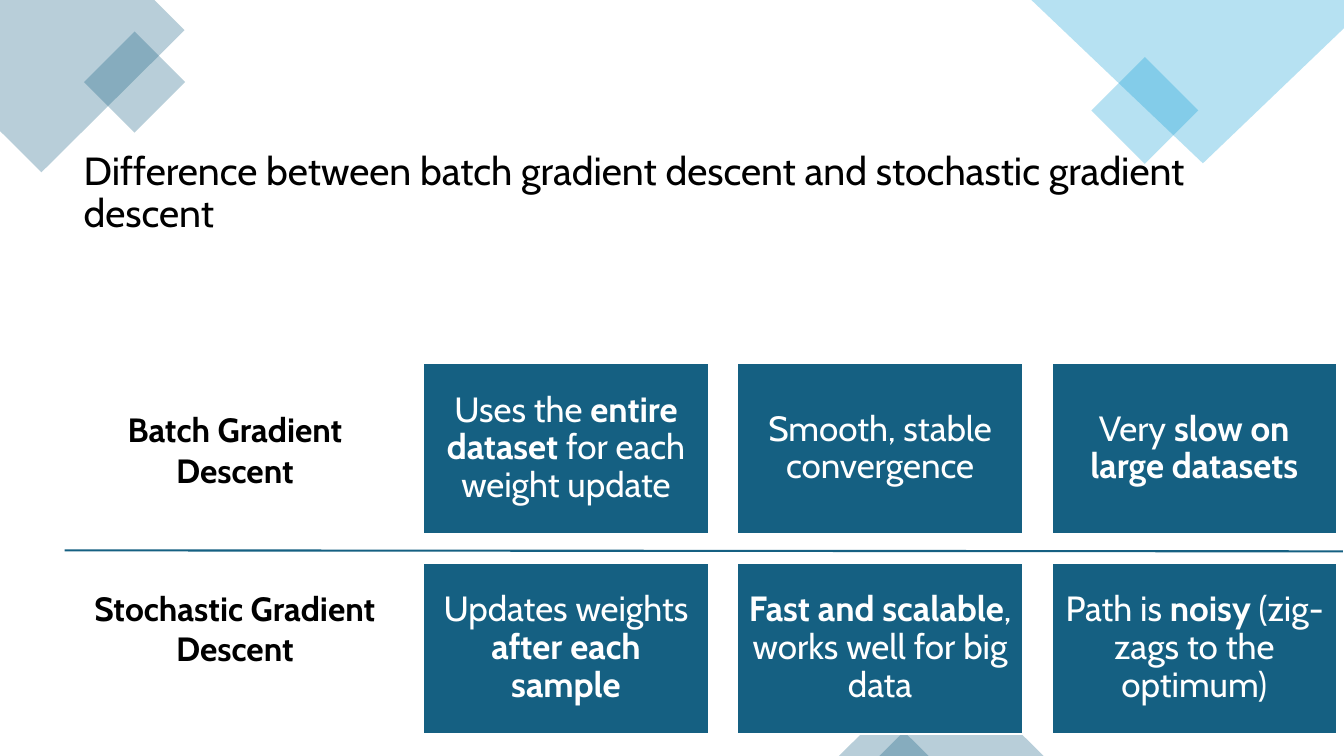
from pptx import Presentation
from pptx.dml.color import RGBColor
from pptx.enum.shapes import MSO_CONNECTOR, MSO_SHAPE
from pptx.enum.text import MSO_ANCHOR, MSO_AUTO_SIZE, PP_ALIGN
from pptx.oxml.ns import qn
from pptx.util import Inches, Pt
from lxml import etree

RECTANGLE, TRIANGLE = MSO_SHAPE.RECTANGLE, MSO_SHAPE.ISOSCELES_TRIANGLE
STRAIGHT = MSO_CONNECTOR.STRAIGHT
MIDDLE, TOP = MSO_ANCHOR.MIDDLE, MSO_ANCHOR.TOP
LEFT, CENTER = PP_ALIGN.LEFT, PP_ALIGN.CENTER
NO_AUTOFIT = MSO_AUTO_SIZE.NONE

TEAL, SKY, BLACK, WHITE = "156082", "0F9ED5", "000000", "FFFFFF"
TITLE = "Difference between batch gradient descent and stochastic gradient descent"
METHODS = [
    ("Batch Gradient Descent", 53.47, [
        [("Uses the ", False), ("entire dataset", True), (" for each weight update", False)],
        [("Smooth, stable convergence", False)],
        [("Very ", False), ("slow on large datasets", True)],
    ]),
    ("Stochastic Gradient Descent", 77.07, [
        [("Updates weights ", False), ("after each sample", True)],
        [("Fast and scalable", True), (", works well for big data", False)],
        [("Path is ", False), ("noisy", True), (" (zig-zags to the optimum)", False)],
    ]),
]
CARD_LEFT, CARD_STEP, CARD_WIDTH = 31.5, 23.37, 21.23
CARD_TOP, ROW_STEP, CARD_HEIGHT = 48, 26.4, 22.67


def color(hex_code):
    return RGBColor.from_string(hex_code)


class ComparisonSlide:
    """Draws styled elements on one slide, with lengths in percent of its size."""

    font = "Cabin"

    def __init__(self, deck):
        self.width, self.height = deck.slide_width, deck.slide_height
        self.slide = deck.slides.add_slide(deck.slide_layouts[5])
        self.shapes = self.slide.shapes

    def point(self, x, y):
        return round(self.width * x / 100), round(self.height * y / 100)

    def box(self, x, y, width, height):
        return *self.point(x, y), *self.point(width, height)

    def style_runs(self, paragraph, size, hex_code, bold=None):
        for run in paragraph.runs:
            run.font.name = self.font
            run.font.size = Pt(size)
            run.font.color.rgb = color(hex_code)
            if bold is not None:
                run.font.bold = bold

    def tint(self, shape, hex_code):
        shape.shadow.inherit = False
        shape.fill.solid()
        shape.fill.fore_color.rgb = color(hex_code)
        shape.line.fill.background()
        srgb = shape.fill._xPr.find(f".//{qn('a:srgbClr')}")
        etree.SubElement(srgb, qn("a:alpha")).set("val", "30000")

    def ornament(self, kind, area, hex_code, rotation=0):
        shape = self.shapes.add_shape(kind, *self.box(*area))
        shape.rotation = rotation
        self.tint(shape, hex_code)

    def corner(self, outline, hex_code):
        start, *rest = [self.point(x, y) for x, y in outline]
        builder = self.shapes.build_freeform(*start, scale=1.0)
        builder.add_line_segments(rest, close=True)
        self.tint(builder.convert_to_shape(), hex_code)

    def title(self, text, area):
        heading = self.shapes.title
        heading.left, heading.top, heading.width, heading.height = self.box(*area)
        frame = heading.text_frame
        frame.text = text
        frame.word_wrap = True
        frame.auto_size = NO_AUTOFIT
        frame.vertical_anchor = MIDDLE
        frame.margin_top = Inches(0.23)
        paragraph = frame.paragraphs[0]
        paragraph.alignment = LEFT
        paragraph.line_spacing = 0.9
        self.style_runs(paragraph, 28, BLACK)
        self.shapes._spTree.append(heading._element)

    def card(self, column, row, phrases):
        left, top = CARD_LEFT + column * CARD_STEP, CARD_TOP + row * ROW_STEP
        card = self.shapes.add_shape(RECTANGLE, *self.box(left, top, CARD_WIDTH, CARD_HEIGHT))
        card.shadow.inherit = False
        card.fill.solid()
        card.fill.fore_color.rgb = color(TEAL)
        card.line.color.rgb = color(WHITE)
        card.line.width = Pt(1.5)
        frame = card.text_frame
        frame.word_wrap = True
        frame.vertical_anchor = MIDDLE
        frame.margin_left = frame.margin_right = Inches(0.1)
        frame.margin_top = frame.margin_bottom = Inches(0.1)
        paragraph = frame.paragraphs[0]
        paragraph.alignment = CENTER
        paragraph.line_spacing = 0.9
        for text, bold in phrases:
            run = paragraph.add_run()
            run.text = text
            run.font.bold = bold
        self.style_runs(paragraph, 25, WHITE)

    def label(self, text, area):
        frame = self.shapes.add_textbox(*self.box(*area)).text_frame
        frame.text = text
        frame.word_wrap = True
        frame.vertical_anchor = TOP
        paragraph = frame.paragraphs[0]
        paragraph.alignment = CENTER
        self.style_runs(paragraph, 24, BLACK, bold=True)

    def divider(self, start, end):
        rule = self.shapes.add_connector(STRAIGHT, *self.point(*start), *self.point(*end))
        rule.line.color.rgb = color(TEAL)
        rule.line.width = Pt(1.5)
        etree.SubElement(rule._element.spPr, qn("a:effectLst"))


def main():
    deck = Presentation()
    deck.slide_width, deck.slide_height = Inches(13.33), Inches(7.5)
    comparison = ComparisonSlide(deck)

    comparison.corner([(11.48, 0), (0, 0), (0, 17.33), (3.08, 22.8), (13.73, 4)], TEAL)
    comparison.ornament(RECTANGLE, (7.35, 6.13, 5.33, 9.47), TEAL, 315)
    comparison.ornament(RECTANGLE, (82.37, 9.6, 5.63, 10), SKY, 315)
    comparison.corner([(100, 0), (76.74, 0), (89.5, 21.6), (100, 3.73)], SKY)
    comparison.ornament(TRIANGLE, (65.42, 89.2, 12.23, 10.8), TEAL)
    comparison.ornament(TRIANGLE, (62.42, 94.13, 6.68, 5.87), TEAL)

    comparison.title(TITLE, (5.48, 14.53, 92.42, 19.87))
    for row, (method, label_top, traits) in enumerate(METHODS):
        for column, phrases in enumerate(traits):
            comparison.card(column, row, phrases)
        comparison.label(method, (6.23, label_top, 22.5, 12.13))
    comparison.divider((4.8, 72.8), (99.92, 72.93))

    deck.save("out.pptx")


if __name__ == "__main__":
    main()
